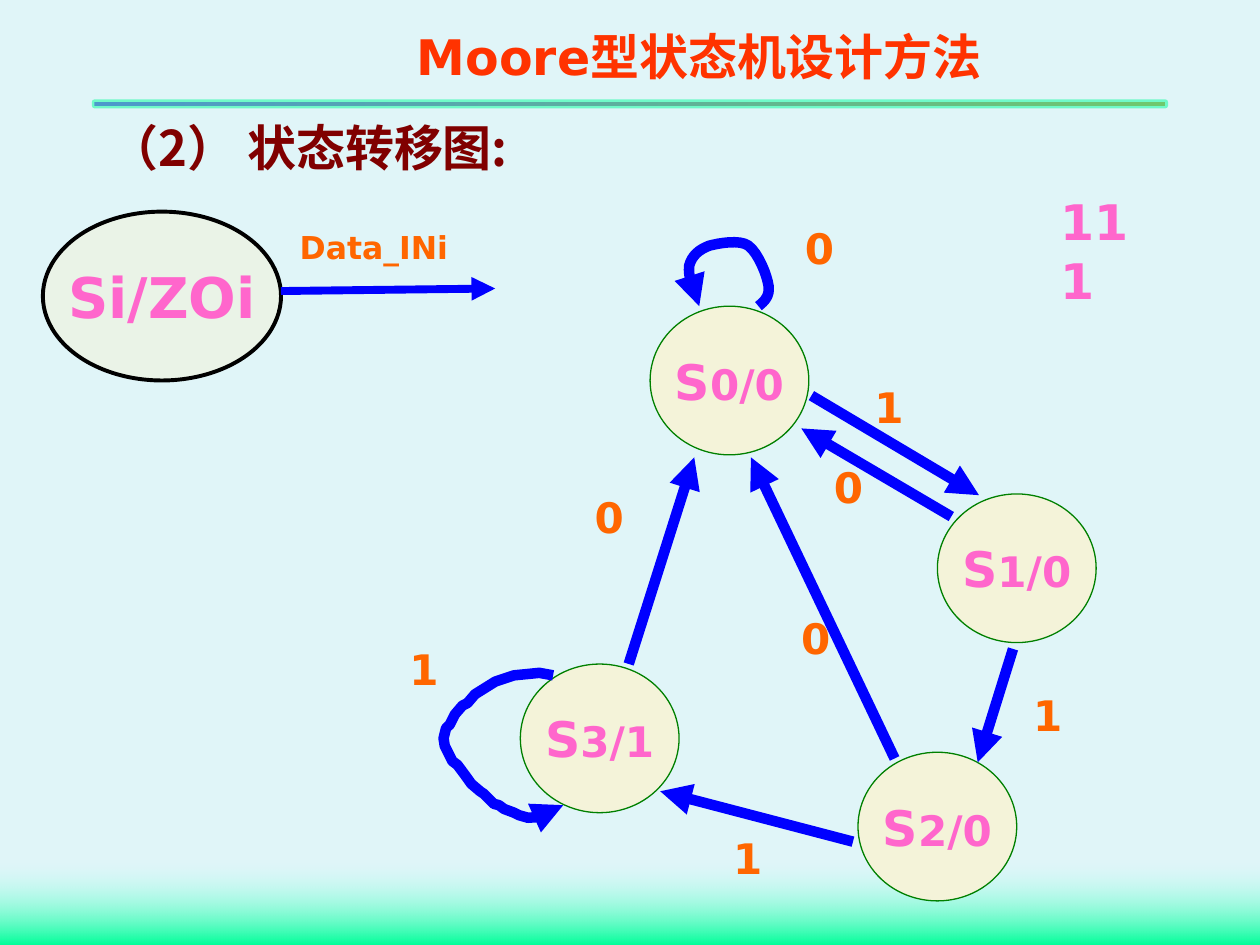
from lxml.etree import SubElement
from pptx import Presentation
from pptx.dml.color import RGBColor
from pptx.enum.shapes import MSO_CONNECTOR, MSO_SHAPE
from pptx.enum.text import MSO_ANCHOR, PP_ALIGN
from pptx.oxml.ns import qn
from pptx.util import Inches, Pt

LATIN, CJK = "DejaVu Sans", "Noto Sans CJK SC"
SKY = RGBColor(0xE0, 0xF5, 0xF8)
ICE = RGBColor(0xCC, 0xFF, 0xFF)
MINT = RGBColor(0x00, 0xFF, 0x99)
VIOLET = RGBColor(0x99, 0x33, 0xFF)
OCHRE = RGBColor(0xE0, 0x91, 0x42)
CREAM = RGBColor(0xF4, 0xF3, 0xD9)
GREEN = RGBColor(0x00, 0x80, 0x00)
BLACK = RGBColor(0x00, 0x00, 0x00)
BLUE = RGBColor(0x00, 0x00, 0xFF)
PINK = RGBColor(0xFF, 0x66, 0xCC)
ORANGE = RGBColor(0xFF, 0x66, 0x00)
RED = RGBColor(0xFF, 0x33, 0x00)
MAROON = RGBColor(0x80, 0x00, 0x00)

STATE_W, STATE_H = 1.26, 1.18
STATES = [("0/0", 5.16, 2.43), ("1/0", 7.44, 3.92), ("2/0", 6.81, 5.97), ("3/1", 4.13, 5.27)]
TRANSITIONS = [
    ((6.44, 3.14), (7.77, 3.93)),
    ((8.04, 5.15), (7.76, 6.05)),
    ((6.77, 6.68), (5.24, 6.28)),
    ((7.1, 6.02), (5.96, 3.63)),
    ((7.55, 4.1), (6.36, 3.4)),
    ((4.99, 5.27), (5.51, 3.63)),
]
INPUT_LABELS = [
    ("1", 6.84, 2.98), ("1", 8.1, 5.42), ("1", 5.72, 6.56), ("1", 3.15, 5.06),
    ("0", 6.52, 3.61), ("0", 6.26, 4.81), ("0", 4.62, 3.85), ("0", 6.29, 1.72),
]
S0_LOOP = [
    (6.02, 2.43), (6.07, 2.39), (6.11, 2.35), (6.1, 2.27), (6.09, 2.19), (6.02, 2.01),
    (5.94, 1.95), (5.87, 1.9), (5.71, 1.93), (5.63, 1.95), (5.55, 1.98), (5.49, 2.03),
    (5.47, 2.11), (5.46, 2.19), (5.5, 2.31), (5.55, 2.43),
]
S3_LOOP = [
    (4.39, 5.36), (4.28, 5.34), (4.08, 5.36), (3.93, 5.41), (3.77, 5.51), (3.71, 5.58),
    (3.67, 5.6), (3.61, 5.67), (3.57, 5.75), (3.54, 5.78), (3.52, 5.86), (3.53, 5.92),
    (3.57, 6), (3.59, 6.04), (3.63, 6.07), (3.69, 6.15), (3.74, 6.22), (3.81, 6.28),
    (3.84, 6.3), (3.92, 6.38), (3.96, 6.39), (4, 6.42), (4.08, 6.45), (4.12, 6.47),
    (4.19, 6.49), (4.35, 6.48), (4.39, 6.46), (4.46, 6.42), (4.47, 6.39),
]


def bezier_points(controls, steps=8):
    """Sample a chain of cubic curves that share their end points."""
    points = [controls[0]]
    for i in range(0, len(controls) - 1, 3):
        curve = controls[i:i + 4]
        for n in range(1, steps + 1):
            t = n / steps
            weights = ((1 - t) ** 3, 3 * t * (1 - t) ** 2, 3 * t * t * (1 - t), t ** 3)
            points.append(tuple(sum(w * pt[axis] for w, pt in zip(weights, curve))
                                for axis in (0, 1)))
    return points


def set_alpha(color_parent, percent):
    """Make the first colour below an element partly transparent."""
    color = next(color_parent.iter(qn("a:srgbClr")))
    SubElement(color, qn("a:alpha"), val=str(percent * 1000))


class StateDiagram:
    """Holds the style and the current slide."""

    def __init__(self, slide):
        self.s = slide
        self.shapes = slide.shapes
        fill = slide.background.fill
        fill.solid()
        fill.fore_color.rgb = SKY

    def fill_text(self, tf, runs, color, align=PP_ALIGN.LEFT, latin=LATIN, wrap=True):
        """Fill a frame with one paragraph of (text, size) runs."""
        tf.word_wrap = wrap
        p = tf.paragraphs[0]
        p.alignment = align
        for text, size in runs:
            r = p.add_run()
            r.text = text
            r.font.size = Pt(size)
            r.font.bold = True
            r.font.color.rgb = color
            r.font.name = latin
            SubElement(r._r.get_or_add_rPr(), qn("a:ea"), typeface=CJK)

    def text(self, x, y, w, h, text, size, color, **style):
        tb = self.shapes.add_textbox(Inches(x), Inches(y), Inches(w), Inches(h))
        self.fill_text(tb.text_frame, [(text, size)], color, **style)

    def gradient_bar(self, x, y, w, h, start, end, angle):
        sp = self.shapes.add_shape(MSO_SHAPE.RECTANGLE, Inches(x), Inches(y), Inches(w), Inches(h))
        sp.shadow.inherit = False
        sp.fill.gradient()
        sp.fill.gradient_angle = angle
        for stop, color in zip(sp.fill.gradient_stops, (start, end)):
            stop.color.rgb = color
        sp.line.fill.background()
        return sp

    def ellipse(self, x, y, w, h, runs, line, width):
        sp = self.shapes.add_shape(MSO_SHAPE.OVAL, Inches(x), Inches(y), Inches(w), Inches(h))
        sp.shadow.inherit = False
        sp.fill.solid()
        sp.fill.fore_color.rgb = CREAM
        sp.line.color.rgb = line
        sp.line.width = Pt(width)
        sp.text_frame.vertical_anchor = MSO_ANCHOR.MIDDLE
        self.fill_text(sp.text_frame, runs, PINK, PP_ALIGN.CENTER, wrap=False)
        return sp

    def arrow_style(self, sp, width):
        sp.line.color.rgb = BLUE
        sp.line.width = Pt(width)
        ln = sp._element.spPr.find(qn("a:ln"))
        SubElement(ln, qn("a:round"))
        SubElement(ln, qn("a:tailEnd"), type="triangle")

    def arrow(self, start, end, width=6):
        cn = self.shapes.add_connector(MSO_CONNECTOR.STRAIGHT, *map(Inches, start + end))
        self.arrow_style(cn, width)
        SubElement(cn._element.spPr, qn("a:effectLst"))

    def loop(self, points):
        """Draw an open outline that ends in an arrowhead."""
        start, *rest = [(Inches(x), Inches(y)) for x, y in points]
        builder = self.shapes.build_freeform(*start)
        builder.add_line_segments(rest, close=False)
        sp = builder.convert_to_shape()
        sp.shadow.inherit = False
        sp.fill.background()
        self.arrow_style(sp, 6)

    def legend(self):
        """Group the sample state with its outgoing arrow."""
        self.shapes = self.s.shapes.add_group_shape().shapes
        sample = self.ellipse(0.34, 1.68, 1.89, 1.34, [("Si/ZOi", 32)], BLACK, 2.25)
        set_alpha(sample._element.spPr.find(qn("a:solidFill")), 53)
        self.arrow((2.23, 2.31), (3.93, 2.29), 4.5)
        self.text(2.28, 1.76, 2.11, 0.4, "Data_INi", 18, ORANGE)
        self.shapes = self.s.shapes


def main():
    prs = Presentation()
    prs.slide_width, prs.slide_height = Inches(10), Inches(7.5)
    d = StateDiagram(prs.slides.add_slide(prs.slide_layouts[6]))

    band = d.gradient_bar(0, 6.83, 10, 0.67, ICE, MINT, 270)
    set_alpha(band._element.spPr.find(qn("a:gradFill")), 0)
    rule = d.gradient_bar(0.75, 0.81, 8.5, 0.03, VIOLET, OCHRE, 0)
    rule.line.color.rgb = MINT
    rule.line.width = Pt(3)
    set_alpha(rule._element.spPr.find(qn("a:ln")), 50)

    d.text(0.77, 0.88, 4.25, 1.04, "（2） 状态转移图:", 28, MAROON, latin=CJK)
    d.text(8.32, 1.47, 0.86, 0.57, "111", 28, PINK)
    for name, x, y in STATES:
        d.ellipse(x, y, STATE_W, STATE_H, [("S", 28), (name, 24)], GREEN, 0.75)
    for start, end in TRANSITIONS:
        d.arrow(start, end)
    for label, x, y in INPUT_LABELS:
        d.text(x, y, 0.39, 0.5, label, 24, ORANGE)
    d.loop(bezier_points(S0_LOOP))
    d.legend()
    d.text(2.14, 0.16, 6.82, 0.57, "Moore型状态机设计方法", 28, RED, align=PP_ALIGN.CENTER)
    d.loop(S3_LOOP)
    prs.save("out.pptx")


if __name__ == "__main__":
    main()
